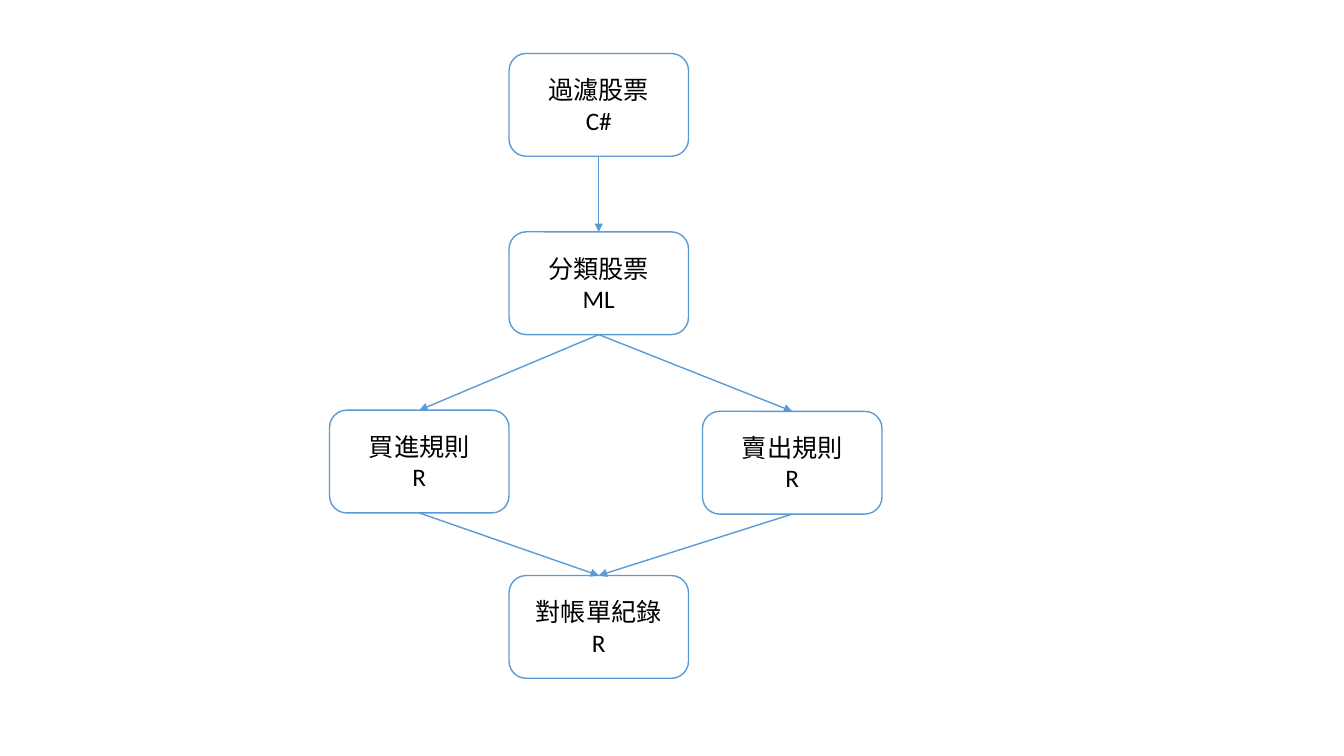
"""Builds a flowchart slide of the stock trading steps."""
import pptx
import pptx.dml.color
import pptx.enum.shapes
import pptx.enum.text
import pptx.oxml.ns
import pptx.util
from lxml import etree

Pt = pptx.util.Pt


def colour(code):
    return pptx.dml.color.RGBColor.from_string(code)


def apply_format(target, values):
    for key, value in values.items():
        setattr(target, key, value)


class Flowchart:
    outline = {"width": Pt(1)}
    outline_colour = colour("5B9BD5")
    box_fill = colour("FFFFFF")
    text_colour = colour("000000")
    font = {"name": "Calibri", "size": Pt(18)}
    frame = {"vertical_anchor": pptx.enum.text.MSO_ANCHOR.MIDDLE, "word_wrap": True}
    box_size = (Pt(128.2), Pt(73.4))

    def __init__(self, slide):
        self.slide = slide

    def draw_outline(self, line):
        line.fill.solid()
        line.color.rgb = self.outline_colour
        apply_format(line, self.outline)

    def step(self, left, top, task, tool):
        box = self.slide.shapes.add_shape(
            pptx.enum.shapes.MSO_SHAPE.ROUNDED_RECTANGLE, Pt(left), Pt(top), *self.box_size)
        box.shadow.inherit = False
        box.fill.solid()
        box.fill.fore_color.rgb = self.box_fill
        self.draw_outline(box.line)
        box.text_frame.text = f"{task}\n{tool}"
        apply_format(box.text_frame, self.frame)
        for paragraph in box.text_frame.paragraphs:
            paragraph.alignment = pptx.enum.text.PP_ALIGN.CENTER
            for run in paragraph.runs:
                apply_format(run.font, self.font)
                run.font.color.rgb = self.text_colour
        return box

    def arrow(self, source, target):
        link = self.slide.shapes.add_connector(
            pptx.enum.shapes.MSO_CONNECTOR.STRAIGHT, 0, 0, 0, 0)
        link.begin_connect(source, 2)
        link.end_connect(target, 0)
        self.draw_outline(link.line)
        qn = pptx.oxml.ns.qn
        etree.SubElement(link.line._get_or_add_ln(), qn("a:tailEnd"), type="triangle")
        etree.SubElement(link._element.spPr, qn("a:effectLst"))


def main():
    deck = pptx.Presentation()
    apply_format(deck, {"slide_width": Pt(960), "slide_height": Pt(540)})
    chart = Flowchart(deck.slides.add_slide(deck.slide_layouts[6]))

    centre = 363.6
    filtering = chart.step(centre, 38.2, "過濾股票", "C#")
    classifying = chart.step(centre, 165.6, "分類股票", "ML")
    buying = chart.step(235.4, 293, "買進規則", "R")
    selling = chart.step(501.8, 293.8, "賣出規則", "R")
    statement = chart.step(centre, 411.1, "對帳單紀錄", "R")

    chart.arrow(filtering, classifying)
    for rule in (buying, selling):
        chart.arrow(classifying, rule)
        chart.arrow(rule, statement)

    deck.save("out.pptx")


if __name__ == "__main__":
    main()
